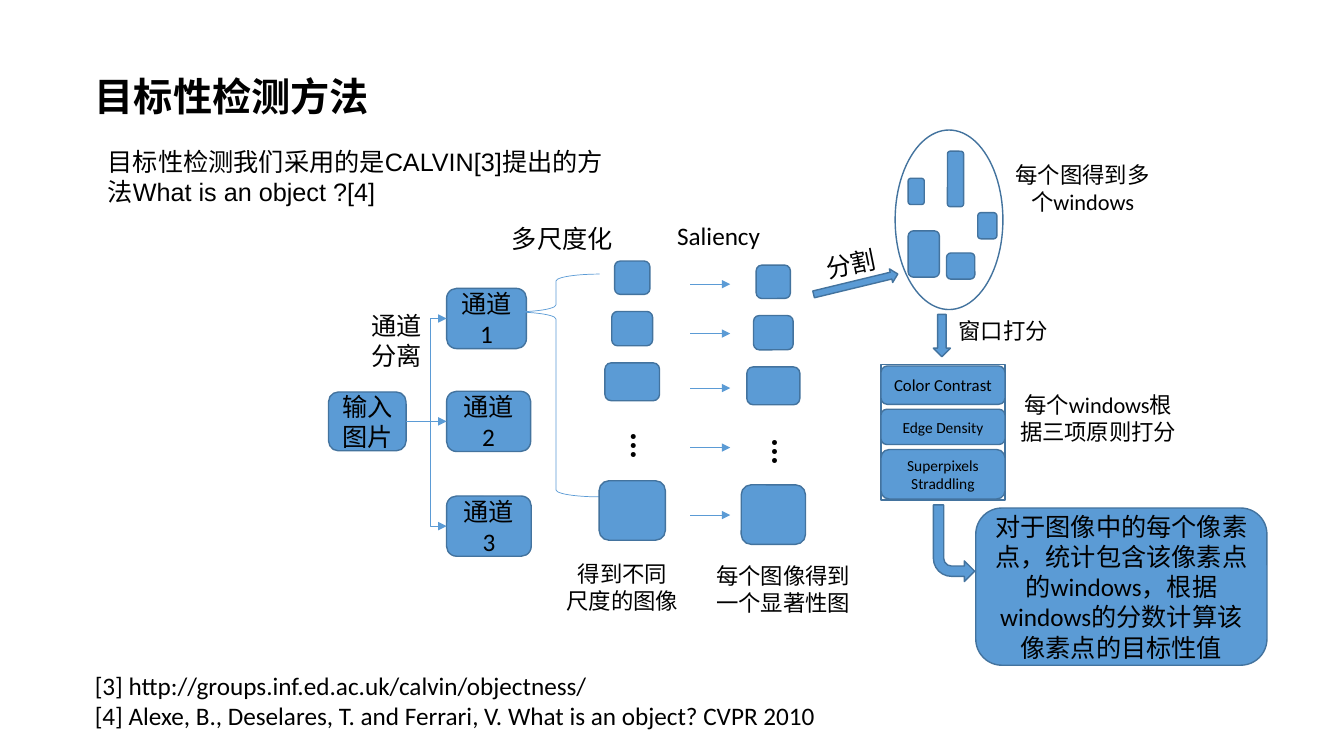
from lxml import etree
from pptx import Presentation
from pptx.dml.color import RGBColor
from pptx.enum.shapes import MSO_CONNECTOR, MSO_SHAPE
from pptx.enum.text import MSO_ANCHOR, MSO_AUTO_SIZE, PP_ALIGN
from pptx.oxml.ns import qn
from pptx.util import Pt

BLUE = RGBColor(0x5B, 0x9B, 0xD5)
EDGE = RGBColor(0x43, 0x73, 0x9E)
WHITE = RGBColor(0xFF, 0xFF, 0xFF)
BLACK = RGBColor(0, 0, 0)

ROUND, RECT, OVAL = MSO_SHAPE.ROUNDED_RECTANGLE, MSO_SHAPE.RECTANGLE, MSO_SHAPE.OVAL
RIGHT, DOWN, BENT = MSO_SHAPE.RIGHT_ARROW, MSO_SHAPE.DOWN_ARROW, MSO_SHAPE.BENT_ARROW
BRACE = MSO_SHAPE.LEFT_BRACE
STRAIGHT, ELBOW = MSO_CONNECTOR.STRAIGHT, MSO_CONNECTOR.ELBOW
LEFT, CENTER = PP_ALIGN.LEFT, PP_ALIGN.CENTER
TOP, MIDDLE = MSO_ANCHOR.TOP, MSO_ANCHOR.MIDDLE
FIXED = MSO_AUTO_SIZE.NONE


class Sketch:
    font = "Calibri"

    def __init__(self, slide):
        self.slide = slide
        self.shapes = slide.shapes

    def put(self, frame, lines, size, align, bold=False, font=None):
        """Fill a text frame, one paragraph a line."""
        frame.word_wrap = True
        for i, line in enumerate(lines):
            para = frame.paragraphs[0] if i == 0 else frame.add_paragraph()
            para.alignment = align
            run = para.add_run()
            run.text = line
            run.font.name = font or self.font
            run.font.size = Pt(size)
            run.font.bold = bold
            run.font.color.rgb = BLACK

    def holder(self, item, box, lines, size, bold=False):
        """Move a placeholder and fill it with plain, unbulleted lines."""
        item.left, item.top, item.width, item.height = map(Pt, box)
        frame = item.text_frame
        frame.auto_size = FIXED
        frame.vertical_anchor = TOP
        self.put(frame, lines, size, LEFT, bold)
        for para in frame.paragraphs:
            props = para._p.get_or_add_pPr()
            props.set("marL", "0")
            props.set("indent", "0")
            etree.SubElement(props, qn("a:buNone"))
            para.space_before = Pt(0)

    def label(self, box, *lines, size=16, align=LEFT, bold=False, font=None, turn=0):
        item = self.shapes.add_textbox(*map(Pt, box))
        item.rotation = turn
        self.put(item.text_frame, lines, size, align, bold, font)
        return item

    def dots(self, left, top):
        item = self.label((left, top, 44, 36.7), "...", size=24, bold=True)
        item.text_frame._txBody.bodyPr.set("vert", "eaVert")

    def block(self, box, text=None, size=18, kind=ROUND, fill=BLUE, turn=0):
        item = self.shapes.add_shape(kind, *map(Pt, box))
        item.shadow.inherit = False
        item.rotation = turn
        item.fill.solid()
        item.fill.fore_color.rgb = fill
        item.line.color.rgb = EDGE
        item.line.width = Pt(1)
        if text:
            item.text_frame.vertical_anchor = MIDDLE
            self.put(item.text_frame, [text], size, CENTER)
        return item

    def brace(self, box):
        item = self.block(box, kind=BRACE)
        item.fill.background()
        item.line.color.rgb = BLUE
        item.line.width = Pt(0.5)
        item.adjustments[0] = 0.08
        item.adjustments[1] = 0.17

    def arrow(self, x1, y1, x2, y2, kind=STRAIGHT):
        item = self.shapes.add_connector(kind, *map(Pt, (x1, y1, x2, y2)))
        item.line.color.rgb = BLUE
        item.line.width = Pt(0.5)
        line = item._element.spPr.find(qn("a:ln"))
        etree.SubElement(line, qn("a:tailEnd"), type="triangle")
        etree.SubElement(item._element.spPr, qn("a:effectLst"))
        return item

    def link(self, start, end, kind):
        """Join the right side of one block to the left side of another."""
        item = self.arrow(0, 0, 0, 0, kind)
        item.begin_connect(start, 3)
        item.end_connect(end, 1)
        if kind == ELBOW:
            guides = item._element.spPr.find(qn("a:prstGeom")).find(qn("a:avLst"))
            etree.SubElement(guides, qn("a:gd"), name="adj1", fmla="val 60000")


def main():
    deck = Presentation()
    deck.slide_width, deck.slide_height = Pt(960), Pt(540)
    slide = deck.slides.add_slide(deck.slide_layouts[1])
    art = Sketch(slide)

    art.holder(slide.shapes.title, (60.5, 48.2, 301.7, 41), ["目标性检测方法"], 28, True)
    art.holder(slide.placeholders[1], (60.5, 475.2, 843.8, 51), [
        "[3] http://groups.inf.ed.ac.uk/calvin/objectness/",
        "[4] Alexe, B., Deselares, T. and Ferrari, V. What is an object? CVPR 2010",
    ], 18)
    art.label((69.8, 100.8, 368.6, 51),
              "目标性检测我们采用的是CALVIN[3]提出的方法What is an object ?[4]",
              size=18, font="Arial")

    # Channel split
    source = art.block((234.7, 280, 55.4, 42), "输入图片")
    channels = [("通道1", 206, 57, ELBOW), ("通道2", 279.5, 60, STRAIGHT),
                ("通道3", 354.3, 60.5, ELBOW)]
    for name, top, width, kind in channels:
        art.link(source, art.block((319, top, width, 43), name), kind)
    art.label((258.5, 218.2, 64, 51), "通道分离", size=18)

    # Scales and saliency maps
    art.brace((365.8, 195.8, 62.6, 159.1))
    scales = [(186.5, 25.2, 23.8), (222.5, 29.2, 24.5),
              (259.2, 39, 27), (343.4, 47.3, 42.5)]
    for mid, drop, ratio in ((451.6, 0, 1), (552.4, 2.9, 0.97)):
        for top, width, height in scales:
            wide = width * ratio
            art.block((mid - wide / 2, top + drop, wide, height))
        art.dots(mid - 17.2, 301.7 + drop * 1.5)
    for y in (203, 238.3, 277.2, 319.7, 367.9):
        art.arrow(493, y, 521.6, y)
    art.label((358.6, 156.2, 95, 28.8), "多尺度化", size=18)
    art.label((476.6, 154.1, 95.8, 28.8), "Saliency", size=18)
    art.label((396, 396.7, 97.2, 46), "得到不同", "尺度的图像", align=CENTER)
    art.label((497.5, 398.2, 123.8, 46), "每个图像得到一个显著性图", align=CENTER)

    # Windows
    art.block((639.4, 92.9, 77, 128.2), kind=OVAL, fill=WHITE)
    windows = [(648.7, 127.4, 11.5, 18.7), (698.4, 151.9, 13.7, 18.7),
               (676.8, 108, 11.5, 39.6), (676.1, 180.7, 20.2, 18.7),
               (648.7, 164.9, 22.3, 33.1)]
    for box in windows:
        art.block(box)
    art.block((580.3, 198, 61.9, 10), kind=RIGHT, turn=346.4)
    art.label((582.5, 172.8, 59.8, 28.8), "分割", size=18, turn=348.4)
    art.label((715.7, 111.6, 115.2, 46), "每个图得到多个windows", align=CENTER)

    # Scoring
    art.block((666.7, 224.6, 12.2, 30.2), kind=DOWN)
    art.label((677.5, 223.2, 102.2, 26.6), "窗口打分")
    art.block((629.3, 260.6, 88.6, 96.5), kind=RECT, fill=WHITE)
    scores = [("Color Contrast", 261.4, 27.4, 12), ("Edge Density", 292.3, 25.2, 11),
              ("Superpixels Straddling", 321.1, 35.3, 11)]
    for name, top, height, size in scores:
        art.block((629.3, top, 88.6, height), name, size)
    art.label((719.3, 275.8, 130.3, 46), "每个windows根据三项原则打分", align=CENTER)
    turn = art.block((666.7, 360.7, 29.5, 54.7), kind=BENT)
    turn._element.spPr.find(qn("a:xfrm")).set("flipV", "1")
    art.block((697, 362.9, 208, 112.3),
              "对于图像中的每个像素点，统计包含该像素点的windows，"
              "根据windows的分数计算该像素点的目标性值")

    deck.save("out.pptx")


if __name__ == "__main__":
    main()
